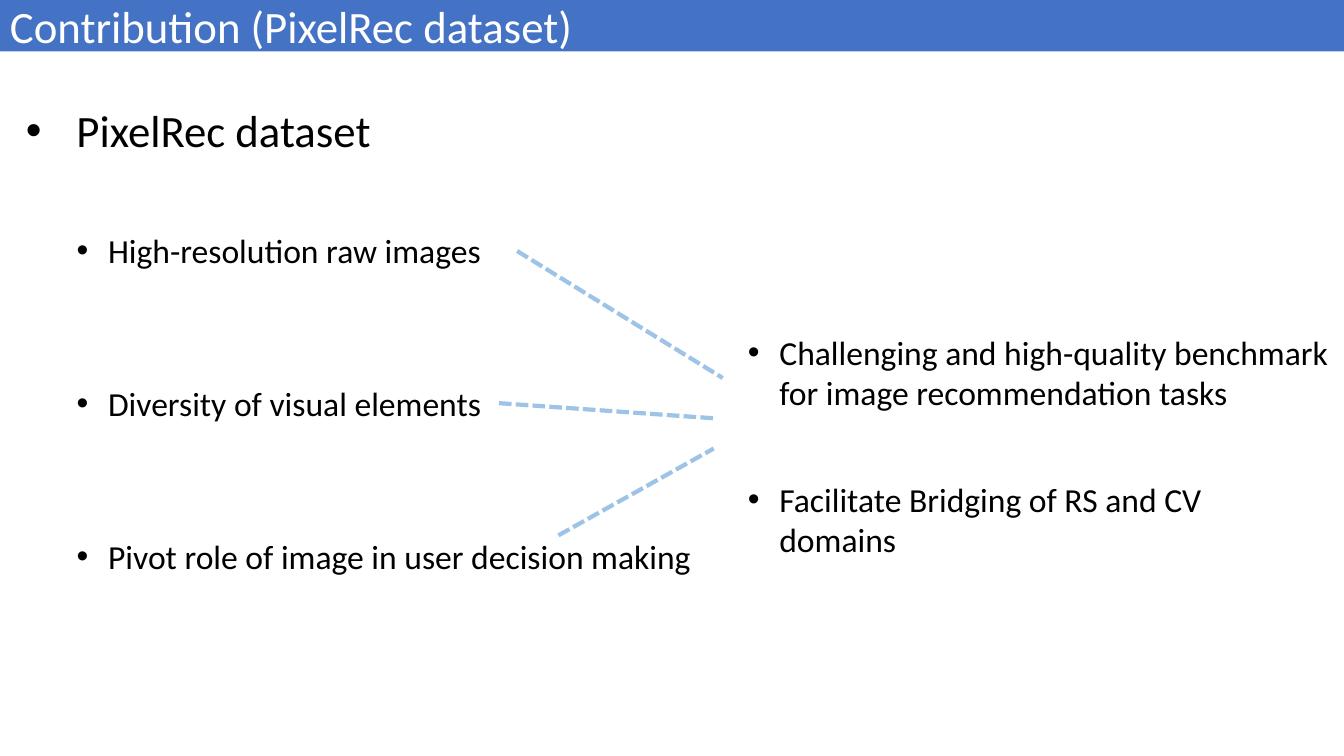
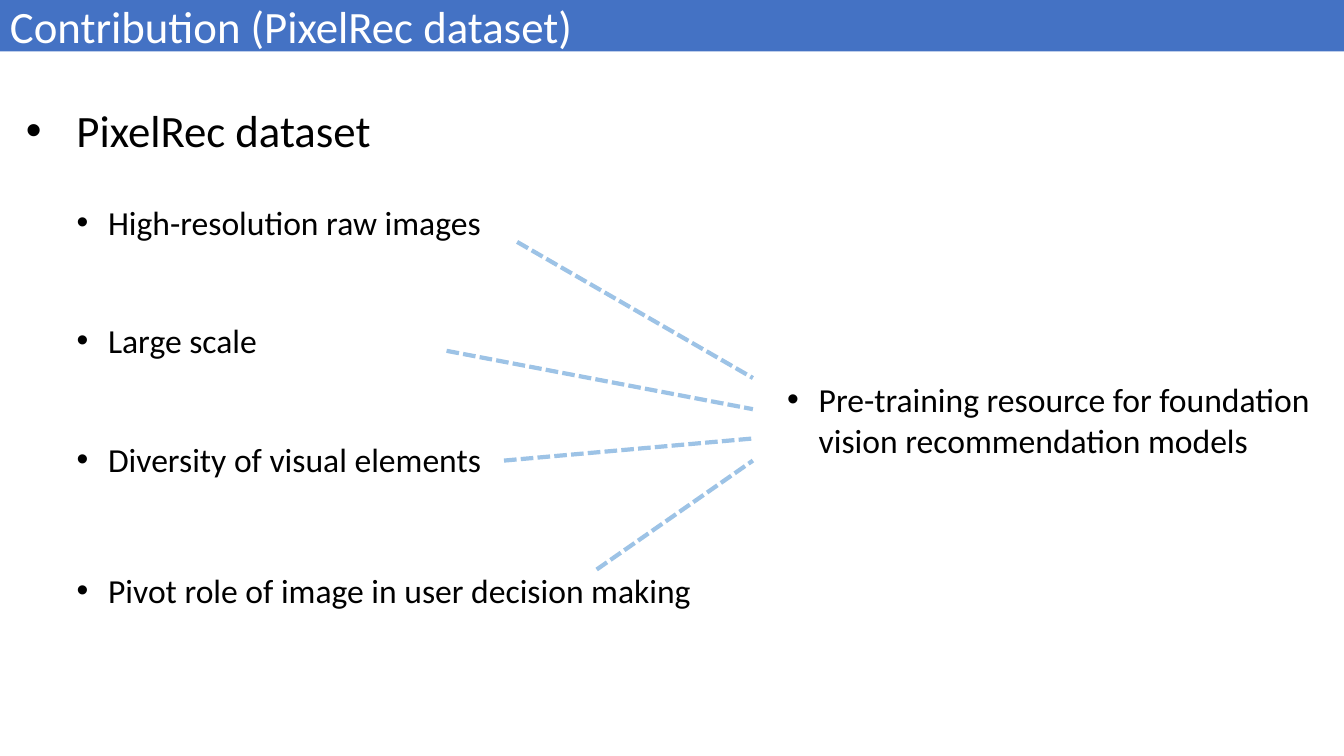
from lxml import etree
from pptx import Presentation
from pptx.dml.color import RGBColor
from pptx.enum import dml, shapes, text
from pptx.oxml import ns
from pptx.util import Pt

COLORS = {"band": "4472C4", "title": "FFFFFF", "body": "000000", "link": "9DC3E6"}
FONT = "Calibri"
SLIDE_W, SLIDE_H = 960, 540
BAND_H = 36.7
HEADING_BOX = (11.5, 69.8, 614.9, 123.8)
LINE_H = 29
TITLE = "Contribution (PixelRec dataset)"
HEADING = "PixelRec dataset"


def rgb(name):
    return RGBColor.from_string(COLORS[name])


def set_all(obj, values):
    for name, value in values.items():
        setattr(obj, name, value)


def write(p, content, size, color):
    r = p.add_run()
    r.text = content
    set_all(r.font, {"name": FONT, "size": Pt(size)})
    r.font.color.rgb = rgb(color)


def add_band(s, box, title):
    sp = s.shapes.add_shape(shapes.MSO_SHAPE.RECTANGLE, *map(Pt, box))
    sp.shadow.inherit = False
    sp.fill.solid()
    sp.fill.fore_color.rgb = rgb("band")
    sp.line.fill.background()
    tf = sp.text_frame
    set_all(tf, {"vertical_anchor": text.MSO_ANCHOR.MIDDLE, "word_wrap": True})
    p = tf.paragraphs[0]
    p.alignment = text.PP_ALIGN.LEFT
    write(p, title, 32, "title")


def add_bullet(s, box, content, size, indent, frame):
    tf = s.shapes.add_textbox(*map(Pt, box)).text_frame
    set_all(tf, {"word_wrap": True, **frame})
    p = tf.paragraphs[0]
    pPr = p._p.get_or_add_pPr()
    pPr.set("marL", str(Pt(indent)))
    pPr.set("indent", str(-Pt(indent)))
    etree.SubElement(pPr, ns.qn("a:buFont")).set("typeface", "Arial")
    etree.SubElement(pPr, ns.qn("a:buChar")).set("char", "•")
    write(p, content, size, "body")


def add_item(s, box, content):
    frame = dict.fromkeys(
        ("margin_left", "margin_top", "margin_right", "margin_bottom"), 0)
    frame["vertical_anchor"] = text.MSO_ANCHOR.MIDDLE
    add_bullet(s, box, content, 24, 22.5, frame)


def add_link(s, start, end):
    line = s.shapes.add_connector(
        shapes.MSO_CONNECTOR.STRAIGHT, *map(Pt, (*start, *end)))
    line.line.color.rgb = rgb("link")
    set_all(line.line, {"width": Pt(3), "dash_style": dml.MSO_LINE.SQUARE_DOT})
    etree.SubElement(line._element.spPr, ns.qn("a:effectLst"))


def add_diagram(s, origin, features, outcomes):
    """Place features and outcomes from origin, then link each feature to the right.

    A feature is (text, y, width, link start within the item, link end).
    An outcome is (text, x, y, width).
    """
    left, top = origin
    for content, y, width, _, _ in features:
        add_item(s, (left, top + y, width, LINE_H), content)
    for content, x, y, width in outcomes:
        add_item(s, (left + x, top + y, width, 2 * LINE_H), content)
    for _, y, _, (start_x, start_y), (end_x, end_y) in features:
        add_link(s, (left + start_x, top + y + start_y), (left + end_x, top + end_y))


def add_contribution_slide(prs, origin, features, outcomes):
    s = prs.slides.add_slide(prs.slide_layouts[6])
    add_band(s, (0, 0, SLIDE_W, BAND_H), TITLE)
    add_bullet(s, HEADING_BOX, HEADING, 32, 36, {})
    add_diagram(s, origin, features, outcomes)


BENCHMARK = {
    "origin": (54.7, 164.2),
    "features": [
        ("High-resolution raw images", 0, 314.6, (314.7, 15.1), (461.5, 105.8)),
        ("Diversity of visual elements", 109.1, 354.2, (301.7, 14.7), (455.1, 134.6)),
        ("Pivot role of image in user decision making", 218.2, 524.2,
         (344.2, 0), (455.1, 156.2)),
    ],
    "outcomes": [
        ("Challenging and high-quality benchmark for image recommendation tasks",
         479.5, 72.7, 424.1),
        ("Facilitate Bridging of RS and CV domains", 479.5, 177.8, 406.8),
    ],
}
PRE_TRAINING = {
    "origin": (54.7, 144),
    "features": [
        ("High-resolution raw images", 0, 314.6, (314.7, 28.8), (483.1, 126)),
        ("Large scale", 84.4, 198.7, (264.3, 22.2), (483.1, 148.3)),
        ("Diversity of visual elements", 169.2, 354.2, (305.3, 15.8), (483.1, 169.2)),
        ("Pivot role of image in user decision making", 262.8, 524.2,
         (371.5, 0), (483.1, 185)),
    ],
    "outcomes": [
        ("Pre-training resource for foundation vision recommendation models",
         507.6, 126.7, 406.8),
    ],
}


def main():
    prs = Presentation()
    set_all(prs, {"slide_width": Pt(SLIDE_W), "slide_height": Pt(SLIDE_H)})
    for content in (BENCHMARK, PRE_TRAINING):
        add_contribution_slide(prs, **content)
    prs.save("out.pptx")


if __name__ == "__main__":
    main()
